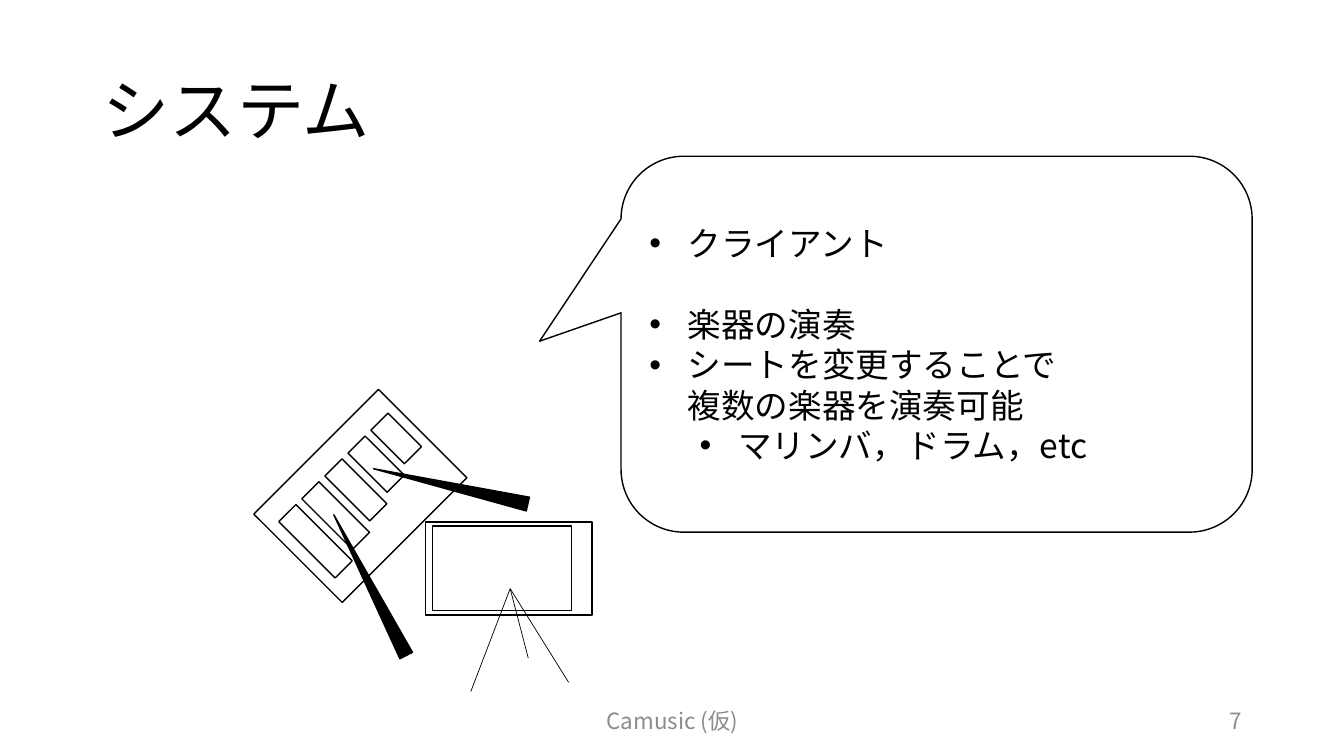
from pptx import Presentation
from pptx.dml.color import RGBColor
from pptx.enum.shapes import MSO_CONNECTOR, MSO_SHAPE
from pptx.enum.text import MSO_ANCHOR, PP_ALIGN
from pptx.oxml.ns import qn
from pptx.util import Inches, Pt
from lxml import etree

FONT = "Noto Sans CJK JP"
BLACK, WHITE, GREY = "000000", "FFFFFF", "8C8C8C"
RECT, TRIANGLE = MSO_SHAPE.RECTANGLE, MSO_SHAPE.ISOSCELES_TRIANGLE
CALLOUT = MSO_SHAPE.ROUNDED_RECTANGULAR_CALLOUT
STRAIGHT = MSO_CONNECTOR.STRAIGHT
LEFT, CENTER, RIGHT = PP_ALIGN.LEFT, PP_ALIGN.CENTER, PP_ALIGN.RIGHT
MIDDLE = MSO_ANCHOR.MIDDLE


def color(hex_string):
    """Return the colour for a hex string."""
    return RGBColor.from_string(hex_string)


def style_paragraph(paragraph, size, text_color, align=LEFT):
    """Set alignment and the font of every run."""
    paragraph.alignment = align
    for run in paragraph.runs:
        run.font.size = Pt(size)
        run.font.name = FONT
        run.font.color.rgb = color(text_color)
        east_asian = etree.SubElement(run.font._element, qn("a:ea"))
        east_asian.set("typeface", FONT)


def add_label(slide, box, text, size, text_color, align=LEFT):
    """Add a one-line text box and return its paragraph."""
    frame = slide.shapes.add_textbox(*map(Inches, box)).text_frame
    frame.word_wrap = True
    frame.vertical_anchor = MIDDLE
    frame.text = text
    style_paragraph(frame.paragraphs[0], size, text_color, align)
    return frame.paragraphs[0]


def add_outlined(slide, kind, box, fill=WHITE, rotation=0):
    """Add a filled shape with a thin black outline."""
    shape = slide.shapes.add_shape(kind, *map(Inches, box))
    shape.shadow.inherit = False
    shape.fill.solid()
    shape.fill.fore_color.rgb = color(fill)
    shape.line.color.rgb = color(BLACK)
    shape.line.width = Pt(1)
    shape.rotation = rotation
    return shape


def add_marimba(slide, left, top, width, height):
    """Draw the tilted sheet with its shrinking bars and two mallets."""
    add_outlined(slide, RECT, (left, top, width, height), rotation=315)
    bar_width = 0.24
    for i in range(5):
        bar_height = 0.79 - 0.08 * i
        center_x = left + 0.43 + 0.2 * i
        center_y = top + 1.07 - 0.255 * i
        bar = (center_x - bar_width / 2, center_y - bar_height / 2, bar_width, bar_height)
        add_outlined(slide, RECT, bar, rotation=315)
    for x, y, rotation in ((0.9, 0.72, 332.8), (1.7, -0.26, 282.9)):
        add_outlined(slide, TRIANGLE, (left + x, top + y, 0.14, 1.57), BLACK, rotation)


def add_phone_on_tripod(slide, left, top, width, height):
    """Draw the phone, its screen and the three tripod legs."""
    add_outlined(slide, RECT, (left, top, width, height))
    add_outlined(slide, RECT, (left + 0.07, top + 0.04, width - 0.27, height - 0.08))
    apex_x, apex_y = left + 0.84, top + 0.66
    for dx, dy in ((-0.39, 1.02), (0.18, 0.69), (0.58, 0.93)):
        ends = (apex_x + dx, apex_y + dy, apex_x, apex_y)
        leg = slide.shapes.add_connector(STRAIGHT, *map(Inches, ends))
        leg.line.color.rgb = color(BLACK)
        leg.line.width = Pt(0.5)
        etree.SubElement(leg._element.spPr, qn("a:effectLst"))


def add_client_callout(slide, box):
    """Add the speech bubble with the bulleted client features."""
    callout = add_outlined(slide, CALLOUT, box)
    for i, value in enumerate((-0.629, -0.008, 0.167)):
        callout.adjustments[i] = value
    frame = callout.text_frame
    frame.word_wrap = True
    frame.vertical_anchor = MIDDLE
    features = (
        ("クライアント", 0, 0),
        ("楽器の演奏", 0, 29),
        ("シートを変更することで\v複数の楽器を演奏可能", 0, 0),
        ("マリンバ，ドラム，etc", 1, 0),
    )
    for i, (text, level, space_before) in enumerate(features):
        paragraph = frame.paragraphs[0] if i == 0 else frame.add_paragraph()
        paragraph.text = text
        paragraph.level = level
        properties = paragraph._p.get_or_add_pPr()
        properties.set("marL", str(Inches(0.38 + 0.5 * level)))
        properties.set("indent", str(Inches(-0.38)))
        etree.SubElement(properties, qn("a:buFont")).set("typeface", "Arial")
        etree.SubElement(properties, qn("a:buChar")).set("char", "•")
        if space_before:
            paragraph.space_before = Pt(space_before)
        style_paragraph(paragraph, 24, BLACK)


def main():
    """Build the system slide and save it."""
    presentation = Presentation()
    presentation.slide_width = Inches(13.33)
    presentation.slide_height = Inches(7.5)
    slide = presentation.slides.add_slide(presentation.slide_layouts[6])
    title = add_label(slide, (0.92, 0.4, 11.5, 1.45), "システム", 48, BLACK)
    title.line_spacing = 0.9
    add_marimba(slide, 2.7, 4.3, 1.75, 1.24)
    add_phone_on_tripod(slide, 4.22, 5.18, 1.65, 0.92)
    add_label(slide, (4.42, 6.95, 4.5, 0.4), "Camusic (仮)", 16, GREY, CENTER)
    add_label(slide, (9.42, 6.95, 3, 0.4), "7", 16, GREY, RIGHT)
    add_client_callout(slide, (6.16, 1.55, 6.26, 3.73))
    presentation.save("out.pptx")


if __name__ == "__main__":
    main()
